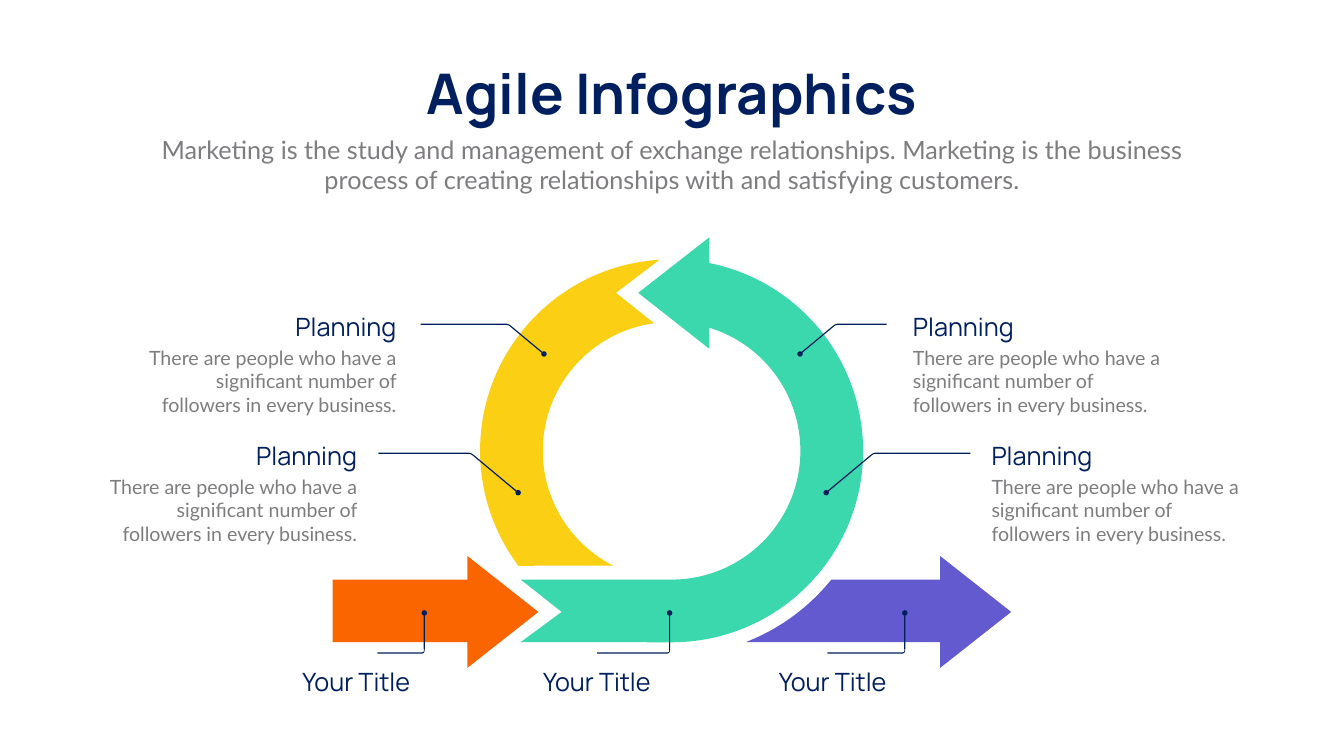
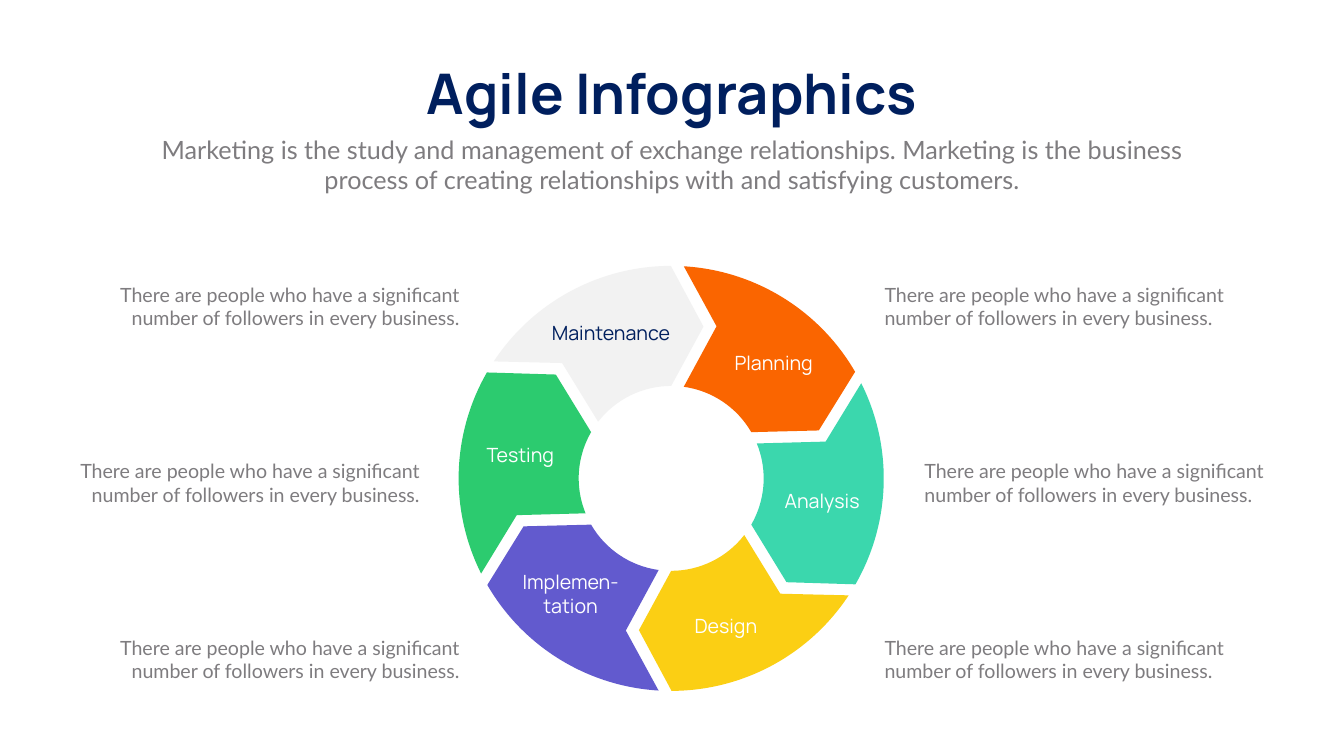
from math import asin, atan2, ceil, copysign, cos, degrees, floor, hypot, radians, sin, tan

from lxml.etree import SubElement
from pptx import Presentation
from pptx.dml.color import RGBColor
from pptx.enum.text import MSO_ANCHOR, MSO_AUTO_SIZE, PP_ALIGN
from pptx.oxml.ns import qn
from pptx.util import Cm, Pt

NAVY = "001F5E"
GRAY = "7E7C7F"
YELLOW = "FBCF14"
PURPLE = "625ACE"
TEAL = "3BD7AD"
ORANGE = "FA6500"
GREEN = "2CCB6F"
PALE = "F2F2F2"
WHITE = "FFFFFF"

HEADING_FONT = "Manrope"
BODY_FONT = "Lato"
LEFT, CENTER, RIGHT = PP_ALIGN.LEFT, PP_ALIGN.CENTER, PP_ALIGN.RIGHT

PAGE_WIDTH = 67.72
TITLE = "Agile Infographics"
SUBTITLE = (
    "Marketing is the study and management of exchange relationships. "
    "Marketing is the business process of creating relationships with "
    "and satisfying customers."
)
NOTE = "There are people who have a significant number of followers in every business."


def color(value):
    return RGBColor.from_string(value)


def write(box, text, size, font, tint, align, bold=False, wrap=True):
    frame = box.text_frame
    frame.text = text
    frame.word_wrap = wrap
    frame.auto_size = MSO_AUTO_SIZE.SHAPE_TO_FIT_TEXT
    frame.vertical_anchor = MSO_ANCHOR.TOP
    para = frame.paragraphs[0]
    para.alignment = align
    for span in para.runs:
        span.font.size = Pt(size)
        span.font.name = font
        span.font.bold = bold
        span.font.color.rgb = color(tint)


def add_text(page, left, top, width, height, text, size, font, tint, align=LEFT):
    box = page.shapes.add_textbox(Cm(left), Cm(top), Cm(width), Cm(height))
    write(box, text, size, font, tint, align)


def add_page(deck):
    page = deck.slides.add_slide(deck.slide_layouts[5])
    title = page.shapes.title
    title.left, title.top = Cm(20.24), Cm(2.84)
    title.width, title.height = Cm(27.25), Cm(3.68)
    write(title, TITLE, 80, HEADING_FONT, NAVY, CENTER, bold=True, wrap=False)
    add_text(page, 7.42, 6.63, 52.88, 3.33, SUBTITLE, 36, BODY_FONT, GRAY, CENTER)
    return page


def polar(center, radius, angle):
    x, y = center
    return x + radius * cos(radians(angle)), y + radius * sin(radians(angle))


def arc(center, radius, start, end):
    low, high = sorted((start, end))
    quarters = [90 * n for n in range(floor(low / 90) + 1, ceil(high / 90))]
    stops = sorted([low, *quarters, high], reverse=end < start)
    steps = [polar(center, radius, start)]
    for here, there in zip(stops, stops[1:]):
        reach = radius * 4 / 3 * tan(radians(there - here) / 4)
        finish = polar(center, radius, there)
        steps.append((
            polar(polar(center, radius, here), reach, here + 90),
            polar(finish, -reach, there + 90),
            finish,
        ))
    return steps


def is_curve(step):
    return len(step) == 3


def add_area(page, steps, fill):
    first, *rest = [step[-1] if is_curve(step) else step for step in steps]
    builder = page.shapes.build_freeform(Cm(first[0]), Cm(first[1]), scale=1.0)
    builder.add_line_segments([(Cm(x), Cm(y)) for x, y in rest], close=True)
    area = builder.convert_to_shape()
    for line, step in zip(list(area.element.iter(qn("a:lnTo"))), steps[1:]):
        if is_curve(step):
            line.addprevious(curve := SubElement(line.getparent(), qn("a:cubicBezTo")))
            for x, y in step:
                SubElement(curve, qn("a:pt"), x=str(Cm(x) - area.left), y=str(Cm(y) - area.top))
            line.getparent().remove(line)
    area.shadow.inherit = False
    area.fill.solid()
    area.fill.fore_color.rgb = color(fill)
    area.line.fill.background()


def heading(origin, target):
    return degrees(atan2(target[1] - origin[1], target[0] - origin[0]))


def add_pointer(page, start, dot, slant=0):
    half, radius, bend = 0.03, 0.14, 0.24
    reach = slant * abs(dot[1] - start[1])
    corner = dot[0] + copysign(reach, start[0] - dot[0]), start[1]
    first, second = heading(start, corner), heading(corner, dot)
    before, after = polar(corner, -bend, first), polar(corner, bend, second)

    def side(offset):
        joint = polar(corner, offset, first + 90)
        return (
            polar(start, offset, first + 90),
            polar(before, offset, first + 90),
            joint,
            polar(after, offset, second + 90),
        )

    near_start, near_before, near_joint, near_after = side(half)
    far_start, far_before, far_joint, far_after = side(-half)
    opening = degrees(asin(half / radius))
    add_area(page, [
        near_start, near_before, (near_joint, near_joint, near_after),
        *arc(dot, radius, second + 180 - opening, second - 180 + opening),
        far_after, (far_joint, far_joint, far_before), far_start,
    ], NAVY)


def add_loop(page):
    center = (33.84, 22.72)
    outer, inner, gap = 9.65, 6.49, 10.34
    shaft_top, shaft_bottom = 29.21, 32.36
    head_top, head_bottom = 28.02, 33.66
    tip_y = 30.84

    def arrow_head(base, tip):
        return [
            (base, shaft_top), (base, head_top), (tip, tip_y),
            (base, head_bottom), (base, shaft_bottom),
        ]

    add_area(page, [
        (31.04, 14.76),
        *arc(center, outer, -93.6, -216.9),
        *arc(center, inner, -243, -97.8),
    ], YELLOW)
    add_area(page, [
        *arrow_head(47.37, 50.95), *arc(center, gap, 68.8, 38.9),
    ], PURPLE)
    add_area(page, [
        (35.74, 11.96), (32.16, 14.76), (35.74, 17.58),
        *arc(center, inner, -73, 90),
        (26.24, shaft_top), (28.3, tip_y), (26.24, shaft_bottom),
        *arc(center, outer, 90, -78.7),
    ], TEAL)
    add_area(page, [
        *arrow_head(23.55, 27.13), (16.76, shaft_bottom), (16.76, shaft_top),
    ], ORANGE)


def add_planning(page, left, top, align):
    width = 13.59
    add_text(page, left, top, width, 1.8, "Planning", 36, HEADING_FONT, NAVY, align)
    add_text(page, left, top + 1.73, width, 3.84, NOTE, 28, BODY_FONT, GRAY, align)


def build_loop_page(deck):
    page = add_page(deck)
    add_loop(page)
    upper, lower = 15.57, 22.07
    for left, top, align, start_x, dot_x in (
        (6.63, upper, RIGHT, 21.2, 27.41),
        (4.65, lower, RIGHT, 19.06, 26.11),
        (45.75, upper, LEFT, 44.67, 40.31),
        (49.71, lower, LEFT, 48.89, 41.63),
    ):
        add_planning(page, left, top, align)
        drop = 1.5 if top == upper else 1.99
        line_y = top + 0.77
        add_pointer(page, (start_x, line_y), (dot_x, line_y + drop), slant=1.2)
    for left, start_x, dot_x in (
        (11.16, 19.01, 21.38), (23.28, 30.09, 33.74), (35.16, 41.69, 45.59),
    ):
        add_pointer(page, (start_x, 32.91), (dot_x, 30.89))
        add_text(page, left, 33.48, 13.59, 1.8, "Your Title", 36, HEADING_FONT, NAVY, CENTER)


def add_segment(page, turn, fill):
    center = (33.82, 24.11)
    outer, inner = 10.71, 4.66
    add_area(page, [
        *arc(center, outer, turn - 86.6, turn - 30.1),
        polar(center, 7.82, turn - 18),
        *arc(center, inner, turn - 30, turn - 82.2),
        polar(center, 8, turn - 73.4),
    ], fill)


def build_cycle_page(deck):
    page = add_page(deck)
    stages = (
        ("Planning", ORANGE, WHITE, 35.66, 17.58, 6.65, 1.45),
        ("Analysis", TEAL, WHITE, 38.1, 24.49, 6.65, 1.45),
        ("Design", YELLOW, WHITE, 33.25, 30.81, 6.65, 1.45),
        ("Implemen-tation", PURPLE, WHITE, 24.79, 28.6, 7.92, 2.64),
        ("Testing", GREEN, WHITE, 22.89, 22.18, 6.65, 1.45),
        ("Maintenance", PALE, NAVY, 26.16, 16.03, 9.25, 1.45),
    )
    for index, (label, fill, tint, left, top, width, height) in enumerate(stages):
        add_segment(page, index * 60, fill)
        add_text(page, left, top, width, height, label, 28, HEADING_FONT, tint, CENTER)

    width = 19.25
    for row, left in enumerate((44.32, 46.33, 44.32)):
        top = 14.13 + row * 8.89
        mirrored = PAGE_WIDTH - left - width
        add_text(page, left, top, width, 2.64, NOTE, 28, BODY_FONT, GRAY)
        add_text(page, mirrored, top, width, 2.64, NOTE, 28, BODY_FONT, GRAY, RIGHT)


def main():
    deck = Presentation()
    deck.slide_width, deck.slide_height = Cm(PAGE_WIDTH), Cm(38.1)
    build_loop_page(deck)
    build_cycle_page(deck)
    deck.save("out.pptx")


if __name__ == "__main__":
    main()
